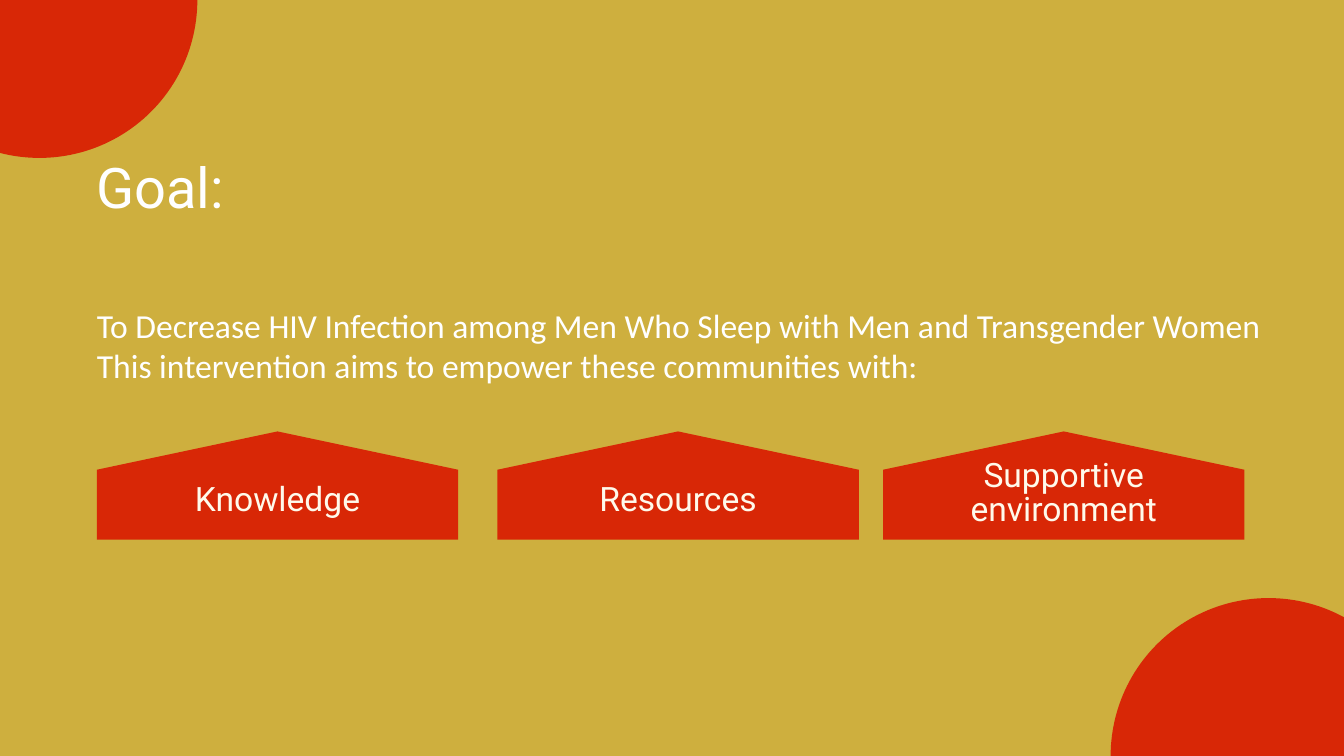
from dataclasses import dataclass
from typing import Optional

from pptx import Presentation
from pptx.dml.color import RGBColor
from pptx.enum.shapes import MSO_SHAPE as Preset
from pptx.enum.text import MSO_ANCHOR as Anchor, PP_ALIGN as Align
from pptx.shapes.base import BaseShape
from pptx.slide import Slide
from pptx.util import Cm, Pt

GOLD = RGBColor(0xCE, 0xAF, 0x3E)
RED = RGBColor(0xD8, 0x27, 0x06)
WHITE = RGBColor(0xFF, 0xFF, 0xFF)
CREAM = RGBColor(0xFF, 0xFA, 0xEB)

PAGE_WIDTH, PAGE_HEIGHT = 50.8, 28.58
CIRCLE_SIZE = 11.94
HOUSE_WIDTH, HOUSE_HEIGHT, ROOF_HEIGHT = 13.66, 4.09, 1.45
HOUSE_TOP = 16.31
LABEL_WIDTH = 11.3


@dataclass(frozen=True)
class TextBlock:
    lines: tuple[str, ...]
    left: float
    top: float
    width: float
    height: float
    size: float
    font: str
    color: RGBColor
    align: Align = Align.CENTER
    anchor: Anchor = Anchor.TOP
    inset: float = 0
    spacing: Optional[float] = None


@dataclass(frozen=True)
class House:
    label: str
    left: float
    label_top: float
    label_height: float


@dataclass(frozen=True)
class Circle:
    left: float
    top: float


HOUSES = (
    House("Knowledge", 3.66, 18.29, 1.35),
    House("Resources", 18.8, 18.29, 1.35),
    House("Supportive environment", 33.38, 17.37, 2.67),
)
CIRCLES = (
    Circle(41.98, PAGE_HEIGHT - CIRCLE_SIZE / 2),
    Circle(-4.48, -CIRCLE_SIZE / 2),
)
GOAL = TextBlock(("Goal:",), 1.75, 5.56, 8.59, 3.63, 60, "Roboto", WHITE,
                 anchor=Anchor.MIDDLE, inset=0.61, spacing=51.8)
STATEMENT = TextBlock(
    ("To Decrease HIV Infection among Men Who Sleep with Men and Transgender Women",
     "This intervention aims to empower these communities with:"),
    3.66, 11.51, 45.19, 3.07, 36, "Calibri", WHITE, align=Align.LEFT)


def paint_red(shape: BaseShape) -> None:
    shape.shadow.inherit = False
    shape.fill.solid()
    shape.fill.fore_color.rgb = RED
    shape.line.fill.background()


def draw_text(page: Slide, block: TextBlock) -> None:
    box = page.shapes.add_textbox(Cm(block.left), Cm(block.top),
                                  Cm(block.width), Cm(block.height))
    frame = box.text_frame
    frame.word_wrap = True
    frame.vertical_anchor = block.anchor
    frame.margin_left = frame.margin_right = Cm(block.inset)
    frame.margin_top = frame.margin_bottom = Cm(block.inset)
    for index, line in enumerate(block.lines):
        para = frame.add_paragraph() if index else frame.paragraphs[0]
        para.alignment = block.align
        if block.spacing is not None:
            para.line_spacing = Pt(block.spacing)
        span = para.add_run()
        span.text = line
        span.font.name = block.font
        span.font.size = Pt(block.size)
        span.font.color.rgb = block.color


def draw_house(page: Slide, house: House) -> None:
    right = house.left + HOUSE_WIDTH
    middle = house.left + HOUSE_WIDTH / 2
    eave = HOUSE_TOP + ROOF_HEIGHT
    base = HOUSE_TOP + HOUSE_HEIGHT
    outline = page.shapes.build_freeform(Cm(house.left), Cm(base))
    corners = ((house.left, eave), (middle, HOUSE_TOP), (right, eave), (right, base))
    outline.add_line_segments([(Cm(x), Cm(y)) for x, y in corners], close=True)
    paint_red(outline.convert_to_shape())
    draw_text(page, TextBlock((house.label,), middle - LABEL_WIDTH / 2, house.label_top,
                              LABEL_WIDTH, house.label_height, 36, "Roboto", CREAM,
                              spacing=37.1))


def draw_circle(page: Slide, circle: Circle) -> None:
    paint_red(page.shapes.add_shape(Preset.OVAL, Cm(circle.left), Cm(circle.top),
                                    Cm(CIRCLE_SIZE), Cm(CIRCLE_SIZE)))


def main() -> None:
    deck = Presentation()
    deck.slide_width, deck.slide_height = Cm(PAGE_WIDTH), Cm(PAGE_HEIGHT)
    page = deck.slides.add_slide(deck.slide_layouts[6])
    page.background.fill.solid()
    page.background.fill.fore_color.rgb = GOLD
    for circle in CIRCLES:
        draw_circle(page, circle)
    draw_text(page, GOAL)
    for house in HOUSES:
        draw_house(page, house)
    draw_text(page, STATEMENT)
    deck.save("out.pptx")


if __name__ == "__main__":
    main()
